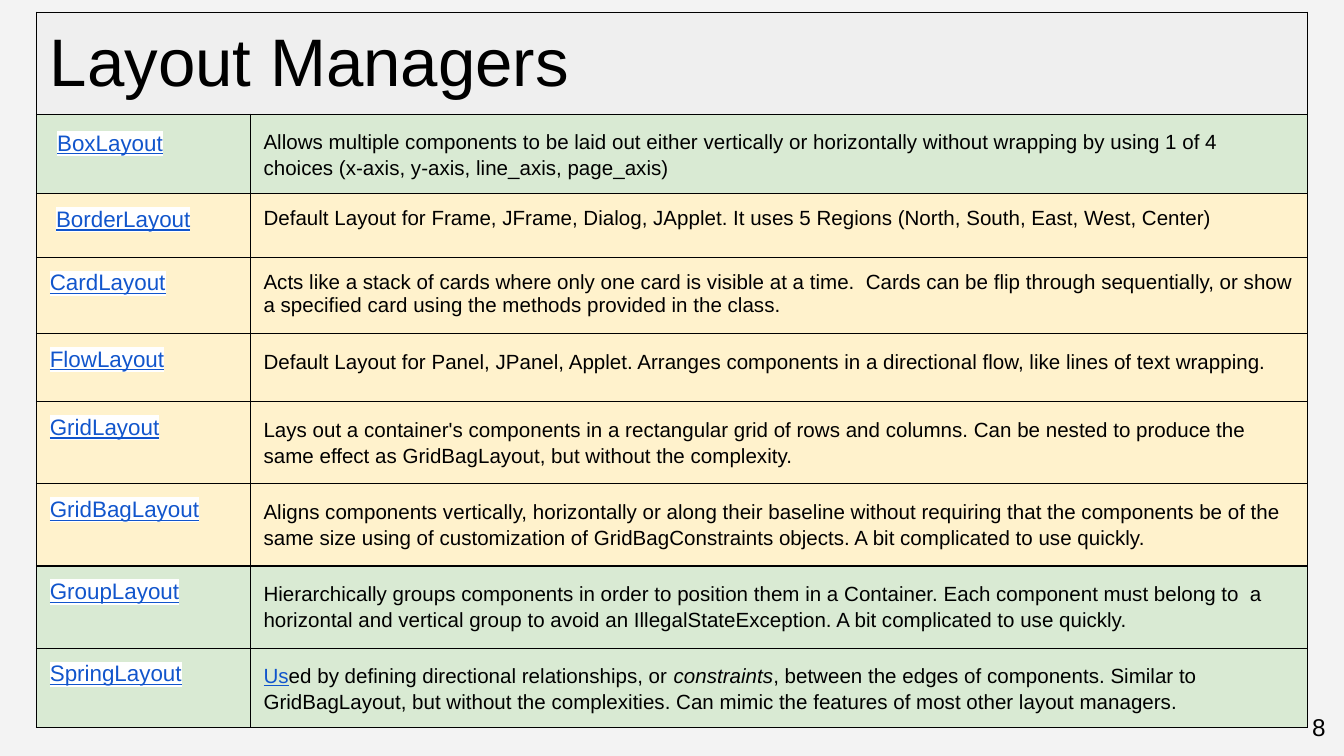
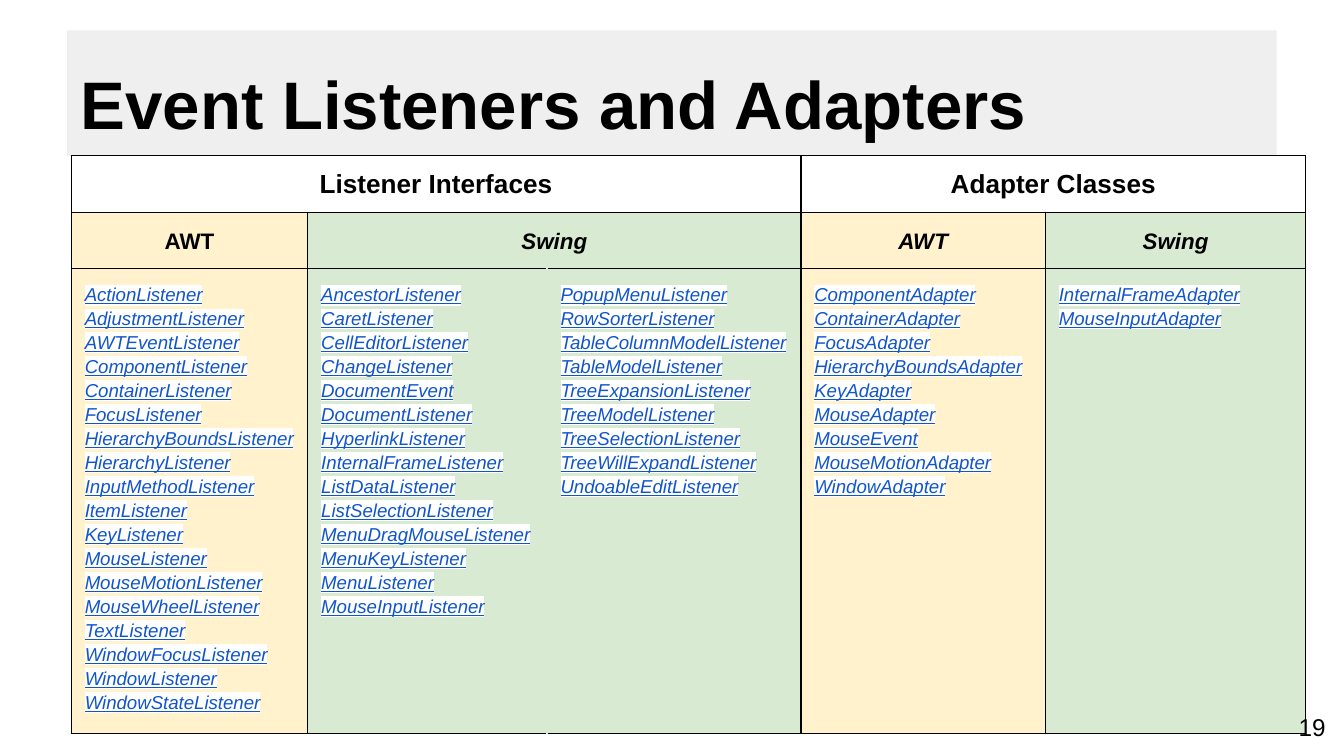
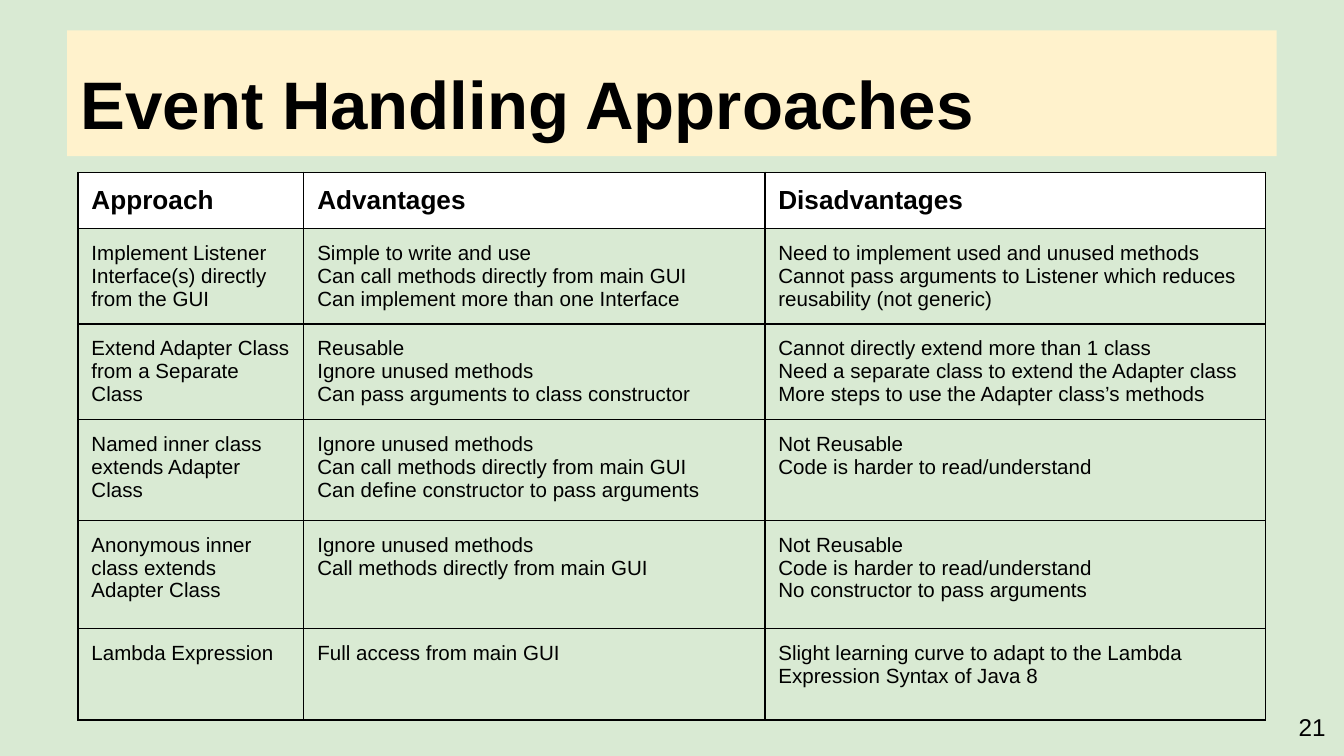
import pptx
import pptx.dml.color
import pptx.enum.text
import pptx.oxml
import pptx.oxml.ns
import pptx.util

Pt = pptx.util.Pt
ALIGN = pptx.enum.text.PP_ALIGN
ANCHOR = pptx.enum.text.MSO_ANCHOR

# Shared look
FONT = "Arial"
BLACK, WHITE, GREY, LINK = "000000", "FFFFFF", "EFEFEF", "1155CC"
GREEN, CREAM = "D9EAD3", "FFF2CC"
INSET = Pt(7.2)
LINKED = dict(color=LINK, underline=True, highlight=WHITE)


def rgb(hex_colour):
    return pptx.dml.color.RGBColor.from_string(hex_colour)


def write(frame, text, **style):
    """Text is a string with a line per paragraph, or a list of (text, style) runs."""
    frame.word_wrap = True
    frame.margin_left = frame.margin_right = INSET
    frame.margin_top = frame.margin_bottom = INSET
    paragraphs = [text] if isinstance(text, list) else [[(line, {})] for line in text.split("\n")]
    for number, runs in enumerate(paragraphs):
        paragraph = frame.add_paragraph() if number else frame.paragraphs[0]
        paragraph.alignment = style.get("align", ALIGN.LEFT)
        paragraph.line_spacing = style.get("spacing", 1.0)
        for words, own in runs:
            look = {**style, **own}
            run = paragraph.add_run()
            run.text = words
            run.font.name = FONT
            run.font.size = Pt(look["size"])
            run.font.bold = look.get("bold", False)
            run.font.italic = look.get("italic", False)
            run.font.underline = look.get("underline", False)
            run.font.color.rgb = rgb(look.get("color", BLACK))
            if "highlight" in look:
                mark = pptx.oxml.parse_xml(
                    f'<a:highlight {pptx.oxml.ns.nsdecls("a")}>'
                    f'<a:srgbClr val="{look["highlight"]}"/></a:highlight>')
                run.font._element.find(pptx.oxml.ns.qn("a:solidFill")).addnext(mark)


# Layout managers: name, description, row colour, line spacing of the description
managers = [
    ([(" ", dict(size=14)), ("BoxLayout", LINKED)],
     "Allows multiple components to be laid out either vertically or horizontally without "
     "wrapping by using 1 of 4 choices (x-axis, y-axis, line_axis, page_axis)", GREEN, 1.15),
    ([(" ", {}), ("BorderLayout", LINKED)],
     "Default Layout for Frame, JFrame, Dialog, JApplet. It uses 5 Regions "
     "(North, South, East, West, Center)", CREAM, 1.0),
    ([("CardLayout", LINKED)],
     "Acts like a stack of cards where only one card is visible at a time.  Cards can be flip "
     "through sequentially, or show a specified card using the methods provided in the class.",
     CREAM, 1.0),
    ([("FlowLayout", LINKED)],
     "Default Layout for Panel, JPanel, Applet. Arranges components in a directional flow, "
     "like lines of text wrapping.", CREAM, 1.15),
    ([("GridLayout", LINKED)],
     "Lays out a container's components in a rectangular grid of rows and columns. Can be nested "
     "to produce the same effect as GridBagLayout, but without the complexity.", CREAM, 1.15),
    ([("GridBagLayout", LINKED)],
     "Aligns components vertically, horizontally or along their baseline without requiring that "
     "the components be of the same size using of customization of GridBagConstraints objects. "
     "A bit complicated to use quickly.", CREAM, 1.15),
    ([("GroupLayout", LINKED)],
     "Hierarchically groups components in order to position them in a Container. Each component "
     "must belong to  a horizontal and vertical group to avoid an IllegalStateException. "
     "A bit complicated to use quickly.", GREEN, 1.15),
    ([("SpringLayout", LINKED)],
     [("Us", dict(color=LINK, underline=True)),
      ("ed by defining directional relationships, or ", {}),
      ("constraints", dict(italic=True)),
      (", between the edges of components. Similar to GridBagLayout, but without the complexities. "
       "Can mimic the features of most other layout managers.", {})], GREEN, 1.15),
]

# Every table cell is (text, fill, style); None continues the cell on its left
manager_rows = [[("Layout Managers", GREY, dict(size=36)), None]]
for manager, description, fill, spacing in managers:
    manager_rows.append([(manager, fill, dict(size=12)),
                         (description, fill, dict(size=11, spacing=spacing))])

# Listeners and adapters
listener_lists = [
    (CREAM, "ActionListener AdjustmentListener AWTEventListener ComponentListener "
            "ContainerListener FocusListener HierarchyBoundsListener HierarchyListener "
            "InputMethodListener ItemListener KeyListener MouseListener MouseMotionListener "
            "MouseWheelListener TextListener WindowFocusListener WindowListener "
            "WindowStateListener"),
    (GREEN, "AncestorListener CaretListener CellEditorListener ChangeListener DocumentEvent "
            "DocumentListener HyperlinkListener InternalFrameListener ListDataListener "
            "ListSelectionListener MenuDragMouseListener MenuKeyListener MenuListener "
            "MouseInputListener"),
    (GREEN, "PopupMenuListener RowSorterListener TableColumnModelListener TableModelListener "
            "TreeExpansionListener TreeModelListener TreeSelectionListener "
            "TreeWillExpandListener UndoableEditListener"),
    (CREAM, "ComponentAdapter ContainerAdapter FocusAdapter HierarchyBoundsAdapter KeyAdapter "
            "MouseAdapter MouseEvent MouseMotionAdapter WindowAdapter"),
    (GREEN, "InternalFrameAdapter MouseInputAdapter"),
]
heading = dict(size=14, bold=True)
group = dict(heading, align=ALIGN.CENTER)
toolkit = dict(group, size=12, spacing=1.15)
slanted = dict(toolkit, italic=True)
names = dict(LINKED, size=10, italic=True, spacing=1.15)
listener_rows = [
    [("Listener Interfaces", WHITE, group), None, None, ("Adapter Classes", WHITE, group), None],
    [("AWT", CREAM, toolkit), ("Swing", GREEN, slanted), None,
     ("AWT", CREAM, slanted), ("Swing", GREEN, slanted)],
    [(listing.replace(" ", "\n"), fill, names) for fill, listing in listener_lists],
]

# Event handling approaches
approaches = [
    ("Implement Listener Interface(s) directly from the GUI",
     "Simple to write and use\nCan call methods directly from main GUI\n"
     "Can implement more than one Interface",
     "Need to implement used and unused methods\n"
     "Cannot pass arguments to Listener which reduces reusability (not generic)"),
    ("Extend Adapter Class from a Separate Class",
     "Reusable\nIgnore unused methods\nCan pass arguments to class constructor",
     "Cannot directly extend more than 1 class\n"
     "Need a separate class to extend the Adapter class\n"
     "More steps to use the Adapter class’s methods"),
    ("Named inner class extends Adapter Class",
     "Ignore unused methods\nCan call methods directly from main GUI\n"
     "Can define constructor to pass arguments",
     "Not Reusable\nCode is harder to read/understand"),
    ("Anonymous inner class extends Adapter Class",
     "Ignore unused methods\nCall methods directly from main GUI",
     "Not Reusable\nCode is harder to read/understand\nNo constructor to pass arguments"),
    ("Lambda Expression", "Full access from main GUI",
     "Slight learning curve to adapt to the Lambda Expression Syntax of Java 8"),
]
approach_rows = [[(label, WHITE, heading) for label in ("Approach", "Advantages", "Disadvantages")]]
for approach in approaches:
    approach_rows.append([(entry, None, dict(size=11)) for entry in approach])

# Slides; "soft" maps (row, column, side) to a border colour other than black
pages = [
    dict(number="8", title="Layout Managers", bold=False, back="F3F3F3", band=GREY,
         at=(19.5, 6.5), widths=[114.5, 566.5], rows=manager_rows, soft={},
         heights=[54.5, 39.6, 34, 41, 36.5, 44, 44, 44, 39.6]),
    dict(number="19", title="Event Listeners and Adapters", bold=True, back=WHITE, band=GREY,
         at=(38.2, 83.5), widths=[126.7, 128.2, 136, 131, 139.5], rows=listener_rows,
         soft={(2, 1, "R"): GREEN, (2, 2, "L"): GREEN}, heights=[30, 30, 249.5]),
    dict(number="21", title="Event Handling Approaches", bold=True, back=GREEN, band=CREAM,
         at=(41.8, 92.2), widths=[121, 247, 268], rows=approach_rows, soft={},
         heights=[30, 51, 51, 54, 58, 49]),
]

deck = pptx.Presentation()
deck.slide_width, deck.slide_height = Pt(720), Pt(405)

for page in pages:
    slide = deck.slides.add_slide(deck.slide_layouts[5])
    slide.background.fill.solid()
    slide.background.fill.fore_color.rgb = rgb(page["back"])

    # Title band
    title = slide.shapes.title
    title.left, title.top, title.width, title.height = Pt(36), Pt(16.2), Pt(648), Pt(67.5)
    title.fill.solid()
    title.fill.fore_color.rgb = rgb(page["band"])
    title.text_frame.auto_size = pptx.enum.text.MSO_AUTO_SIZE.NONE
    title.text_frame.vertical_anchor = ANCHOR.BOTTOM
    write(title.text_frame, page["title"], size=36, bold=page["bold"])

    # Table
    rows, widths, heights = page["rows"], page["widths"], page["heights"]
    left, top = page["at"]
    table = slide.shapes.add_table(len(rows), len(widths), Pt(left), Pt(top),
                                   Pt(sum(widths)), Pt(sum(heights))).table
    table.first_row = table.horz_banding = False
    for column, width in zip(table.columns, widths):
        column.width = Pt(width)
    for row, height in zip(table.rows, heights):
        row.height = Pt(height)

    for r, entries in enumerate(rows):
        for c, entry in enumerate(entries):
            cell = table.cell(r, c)
            if entry:
                text, fill, style = entry
                last = c
                while last + 1 < len(entries) and entries[last + 1] is None:
                    last += 1
                if last > c:
                    cell.merge(table.cell(r, last))
                cell.margin_left = cell.margin_right = INSET
                cell.margin_top = cell.margin_bottom = INSET
                write(cell.text_frame, text, **style)
            if fill:
                cell.fill.solid()
                cell.fill.fore_color.rgb = rgb(fill)
            else:
                cell.fill.background()
            properties = cell._tc.get_or_add_tcPr()
            for position, side in enumerate("LRTB"):
                colour = page["soft"].get((r, c, side), BLACK)
                properties.insert(position, pptx.oxml.parse_xml(
                    f'<a:ln{side} {pptx.oxml.ns.nsdecls("a")} w="{Pt(0.75)}"><a:solidFill>'
                    f'<a:srgbClr val="{colour}"/></a:solidFill></a:ln{side}>'))

    # Slide number
    number = slide.shapes.add_textbox(Pt(674), Pt(373.7), Pt(43.2), Pt(31)).text_frame
    number.vertical_anchor = ANCHOR.MIDDLE
    write(number, page["number"], size=13, align=ALIGN.RIGHT)

deck.save("out.pptx")
